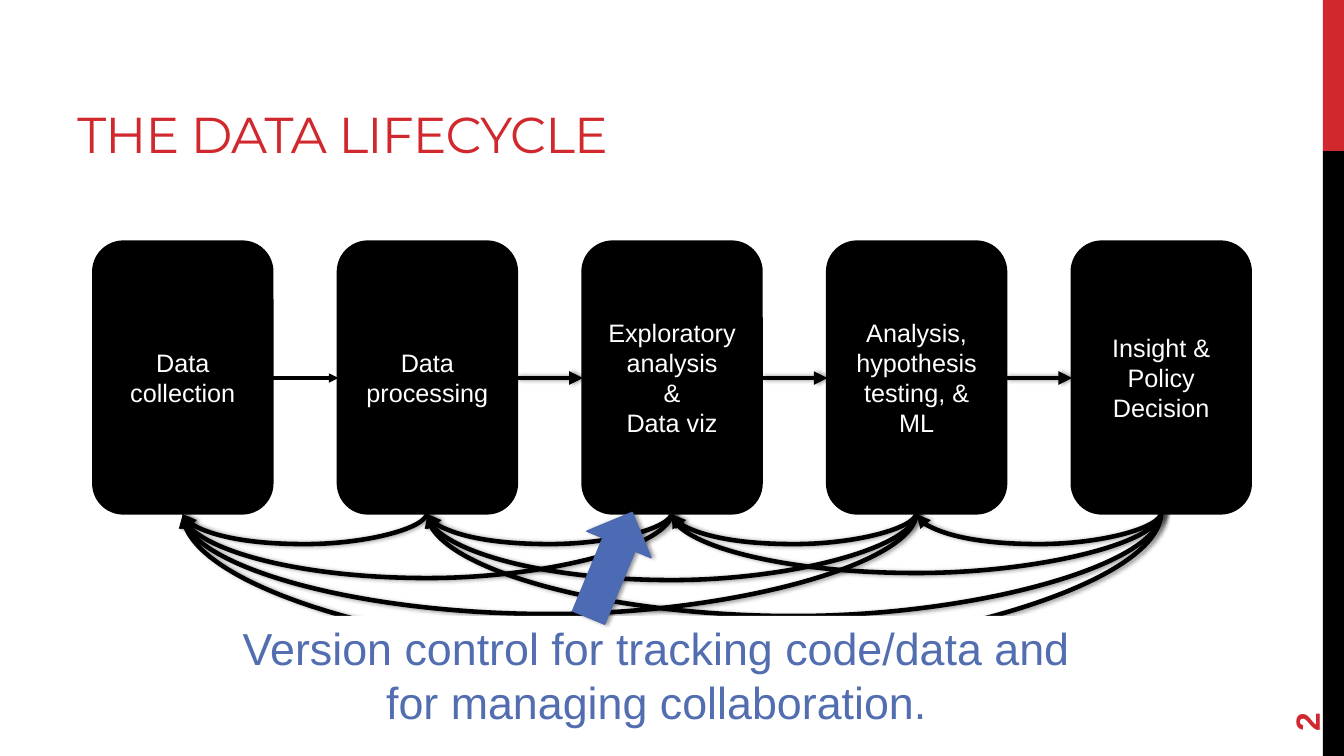
"""Build a slide on the stages of the data lifecycle and the loops between them."""
from dataclasses import dataclass

from lxml.etree import SubElement
from pptx import Presentation
from pptx.dml.color import RGBColor
from pptx.enum.shapes import MSO_CONNECTOR, MSO_SHAPE
from pptx.enum.text import MSO_ANCHOR, MSO_AUTO_SIZE, PP_ALIGN
from pptx.oxml.ns import qn
from pptx.util import Inches, Pt

HUES = {"red": "D1282E", "black": "000000", "white": "FFFFFF",
        "blue": "4D6BB5", "edge": "4E6AAE", "note": "526DB0"}
WIDE, HIGH = Inches(13.333), Inches(7.5)
LEFT, PITCH, SPAN = 6.97, 18.2, 13.27
TOP, TALL, MID = 32, 35.87, 50
BASE, DROP = 67.87, 0.27


@dataclass
class Stage:
    text: str
    loops: tuple[float, ...] = ()
    line: float = 3.25
    glow: bool = True


@dataclass
class Block:
    kind: MSO_SHAPE
    area: tuple[float, float, float, float]
    fill: str
    edge: str = ""
    line: float = 0
    turn: float = 0
    glow: bool = False


STAGES = [
    Stage("Data collection"),
    Stage("Data processing", (4.27,), 2.25, False),
    Stage("Exploratory analysis\n&\nData viz", (4.27, 8.8)),
    Stage("Analysis, hypothesis testing, & ML", (4.27, 9.07, 13.6)),
    Stage("Insight & Policy Decision", (4.27, 8.13, 13.87, 19.33)),
]
BARS = [
    Block(MSO_SHAPE.RECTANGLE, (98.43, 0, 1.57, 20), "red"),
    Block(MSO_SHAPE.RECTANGLE, (98.43, 20, 1.57, 80), "black"),
]
NOTE = Block(MSO_SHAPE.RECTANGLE, (16.42, 81.47, 64.88, 15.73), "white")
POINTER = Block(MSO_SHAPE.UP_ARROW, (42.83, 67.2, 5.18, 15.07), "blue",
                "edge", 1, 22.5, True)


def across(share: float) -> int:
    return round(WIDE * share / 100)


def down(share: float) -> int:
    return round(HIGH * share / 100)


def tint(name: str) -> RGBColor:
    return RGBColor.from_string(HUES[name])


def place(shape, area: tuple[float, float, float, float]) -> None:
    x, y, w, h = area
    shape.left, shape.top = across(x), down(y)
    shape.width, shape.height = across(w), down(h)


def write(shape, text: str, *, size: float, hue: str, font: str = "Arial",
          bold: bool = False, align=PP_ALIGN.LEFT, anchor=MSO_ANCHOR.MIDDLE,
          track: int = 0) -> None:
    frame = shape.text_frame
    frame.word_wrap = True
    frame.auto_size = MSO_AUTO_SIZE.NONE
    frame.vertical_anchor = anchor
    frame.text = text
    for para in frame.paragraphs:
        para.alignment = align
        for run in para.runs:
            run.font.name, run.font.size, run.font.bold = font, Pt(size), bold
            run.font.color.rgb = tint(hue)
            if track:
                run.font._element.set("spc", str(track))


def shade(shape, glow: bool) -> None:
    fx = SubElement(shape._element.spPr, qn("a:effectLst"))
    if glow:
        cast = SubElement(fx, qn("a:outerShdw"), blurRad=str(Pt(3.1)),
                          dist=str(Pt(1.8)), dir="0", rotWithShape="0")
        ink = SubElement(cast, qn("a:srgbClr"), val=HUES["black"])
        SubElement(ink, qn("a:alpha"), val="40000")


def draw(slide, block: Block):
    shape = slide.shapes.add_shape(block.kind, 0, 0, 0, 0)
    place(shape, block.area)
    shape.rotation = block.turn
    shape.fill.solid()
    shape.fill.fore_color.rgb = tint(block.fill)
    if block.edge:
        shape.line.color.rgb = tint(block.edge)
        shape.line.width = Pt(block.line)
    else:
        shape.line.fill.background()
    shade(shape, block.glow)
    return shape


def link(slide, kind: MSO_CONNECTOR, ends: tuple[int, int, int, int],
         line: float, glow: bool):
    wire = slide.shapes.add_connector(kind, *ends)
    wire.line.color.rgb = tint("black")
    wire.line.width = Pt(line)
    SubElement(wire.line._get_or_add_ln(), qn("a:tailEnd"), type="triangle")
    shade(wire, glow)
    return wire


def loop(slide, start: int, hops: int, depth: float) -> None:
    mid_x = across(LEFT + SPAN / 2 + PITCH * (start - hops / 2))
    mid_y = down(BASE)
    half_w, half_h = down(DROP) // 2, across(PITCH * hops) // 2
    wire = link(slide, MSO_CONNECTOR.CURVE,
                (mid_x - half_w, mid_y - half_h, mid_x + half_w, mid_y + half_h),
                3.25, True)
    props = wire._element.spPr
    props.find(qn("a:xfrm")).set("rot", "5400000")
    guides = props.find(qn("a:prstGeom")).get_or_add_avLst()
    SubElement(guides, qn("a:gd"), name="adj1",
               fmla=f"val {round(depth / DROP * 100000)}")


def step(slide, index: int, stage: Stage) -> None:
    x = LEFT + PITCH * index
    box = draw(slide, Block(MSO_SHAPE.ROUNDED_RECTANGLE, (x, TOP, SPAN, TALL),
                            "black", "black", 2.25))
    write(box, stage.text, size=18, hue="white", align=PP_ALIGN.CENTER)
    if index:
        ends = across(x - PITCH + SPAN), down(MID), across(x), down(MID)
        link(slide, MSO_CONNECTOR.STRAIGHT, ends, stage.line, stage.glow)
    for hops, depth in enumerate(stage.loops, 1):
        loop(slide, index, hops, depth)


def main() -> None:
    deck = Presentation()
    deck.slide_width, deck.slide_height = WIDE, HIGH
    slide = deck.slides.add_slide(deck.slide_layouts.get_by_name("Title Only"))
    for bar in BARS:
        draw(slide, bar)
    title = slide.shapes.title
    place(title, (5, 2.27, 63.3, 20))
    write(title, "THE DATA LIFECYCLE", size=36, hue="red", font="Montserrat",
          anchor=MSO_ANCHOR.BOTTOM, track=-60)
    number = slide.shapes.add_textbox(0, 0, 0, 0)
    place(number, (91.8, 84.93, 10.8, 7.07))
    number.rotation = 270
    write(number, "2", size=24, hue="red", bold=True)
    for index, stage in enumerate(STAGES):
        step(slide, index, stage)
    write(draw(slide, NOTE),
          "Version control for tracking code/data and for managing collaboration.",
          size=32, hue="note", align=PP_ALIGN.CENTER, anchor=MSO_ANCHOR.TOP)
    draw(slide, POINTER)
    deck.save("out.pptx")


if __name__ == "__main__":
    main()
